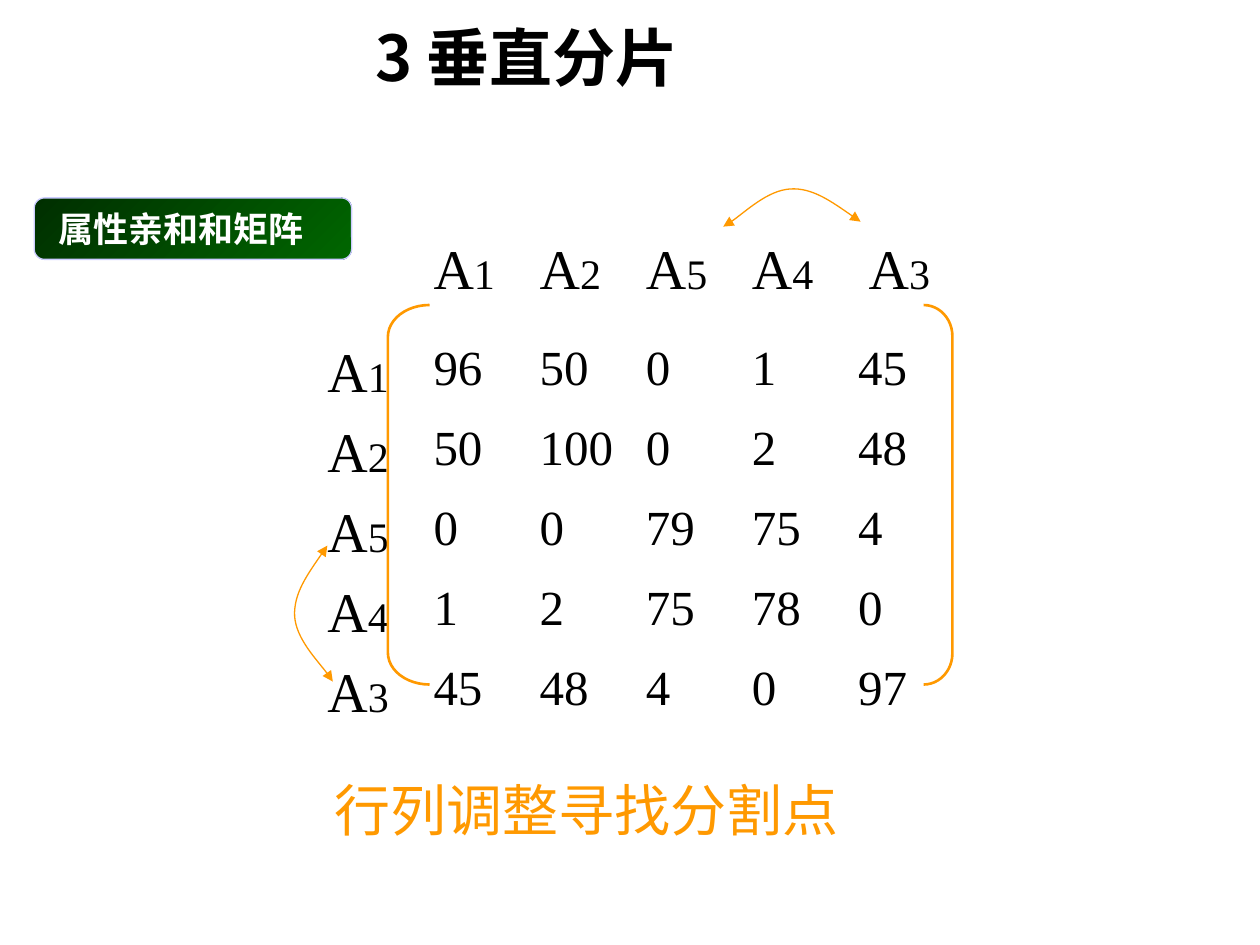
from typing import NamedTuple

from lxml.etree import SubElement
from pptx import Presentation
from pptx.dml.color import RGBColor
from pptx.enum.shapes import MSO_SHAPE as Preset
from pptx.enum.text import MSO_ANCHOR as Anchor, PP_ALIGN as Align
from pptx.oxml.ns import qn
from pptx.util import Cm, Pt

BLACK = RGBColor(0x00, 0x00, 0x00)
WHITE = RGBColor(0xFF, 0xFF, 0xFF)
ORANGE = RGBColor(0xFF, 0x99, 0x00)
DARK_GREEN = RGBColor(0x00, 0x2F, 0x00)
GREEN = RGBColor(0x00, 0x66, 0x00)
LAVENDER = RGBColor(0xCC, 0xCC, 0xFF)
SERIF = "Times New Roman"
SANS = "Noto Sans CJK SC"

MATRIX_LEFT, HEADER_TOP, ROWS_TOP = 6.35, 4.45, 6.53
COLUMN_WIDTH, HEADER_HEIGHT, ROW_HEIGHT = 2.14, 2.08, 1.61
ATTRIBUTES = "12543"
AFFINITIES = (
    (96, 50, 0, 1, 45),
    (50, 100, 0, 2, 48),
    (0, 0, 79, 75, 4),
    (1, 2, 75, 78, 0),
    (45, 48, 4, 0, 97),
)


class Box(NamedTuple):
    left: float
    top: float
    width: float
    height: float

    def lengths(self) -> list:
        return [Cm(value) for value in self]


class Bracket(NamedTuple):
    preset: Preset
    box: Box
    roundness: float


class SwapArrow(NamedTuple):
    start: tuple
    bends: tuple


BRACKETS = (
    Bracket(Preset.LEFT_BRACKET, Box(7.82, 6.15, 0.84, 7.65), 0.765),
    Bracket(Preset.RIGHT_BRACKET, Box(18.62, 6.15, 0.58, 7.65), 1.079),
)
SWAP_ARROWS = (
    SwapArrow((6.6, 11), ((6.27, 11.48), (5.92, 11.96), (5.94, 12.42),
                          (5.97, 12.88), (6.58, 13.51), (6.71, 13.74))),
    SwapArrow((17.35, 4.47), ((16.87, 4.14), (16.38, 3.78), (15.93, 3.81),
                              (15.47, 3.84), (14.83, 4.45), (14.58, 4.57))),
)


def write(shape, text: str, *, size: float, subscript: str = "", color=BLACK,
          font: str = SERIF, bold: bool = False, anchor=Anchor.MIDDLE,
          left: float = 0.25, top: float = 0.13) -> None:
    frame = shape.text_frame
    frame.word_wrap = True
    frame.vertical_anchor = anchor
    frame.margin_left, frame.margin_right = Cm(left), Cm(0.25)
    frame.margin_top, frame.margin_bottom = Cm(top), Cm(0.13)
    paragraph = frame.paragraphs[0]
    paragraph.alignment = Align.LEFT
    for part, points in ((text, size), (subscript, 24)):
        if part:
            run = paragraph.add_run()
            run.text = part
            run.font.size, run.font.bold = Pt(points), bold
            run.font.name, run.font.color.rgb = font, color
            SubElement(run.font._element, qn("a:ea"), typeface=SANS)


def add_text(shapes, box: Box, text: str, **style) -> None:
    write(shapes.add_textbox(*box.lengths()), text, **style)


def add_matrix(shapes) -> None:
    cell_style = {"anchor": Anchor.TOP, "top": 0.26}
    for column, attribute in enumerate(ATTRIBUTES, 1):
        box = Box(MATRIX_LEFT + column * COLUMN_WIDTH, HEADER_TOP, COLUMN_WIDTH, HEADER_HEIGHT)
        indent = 0.46 if column == len(ATTRIBUTES) else 0.25
        add_text(shapes, box, "A", subscript=attribute, size=32, left=indent, **cell_style)
    for row, (attribute, values) in enumerate(zip(ATTRIBUTES, AFFINITIES)):
        label = Box(MATRIX_LEFT, ROWS_TOP + row * ROW_HEIGHT, COLUMN_WIDTH, ROW_HEIGHT)
        add_text(shapes, label, "A", subscript=attribute, size=32, **cell_style)
        for column, value in enumerate(values, 1):
            cell = label._replace(left=MATRIX_LEFT + column * COLUMN_WIDTH)
            add_text(shapes, cell, str(value), size=28, **cell_style)


def add_bracket(shapes, bracket: Bracket) -> None:
    shape = shapes.add_shape(bracket.preset, *bracket.box.lengths())
    shape.adjustments[0] = bracket.roundness
    shape.shadow.inherit = False
    shape.fill.background()
    shape.line.color.rgb, shape.line.width = ORANGE, Pt(1.5)


def add_swap_arrow(shapes, arrow: SwapArrow) -> None:
    builder = shapes.build_freeform(*map(Cm, arrow.start))
    builder.add_line_segments([(Cm(x), Cm(y)) for x, y in arrow.bends], close=False)
    shape = builder.convert_to_shape()
    shape.shadow.inherit = False
    shape.fill.background()
    shape.line.color.rgb, shape.line.width = ORANGE, Pt(0.75)
    for end in ("a:headEnd", "a:tailEnd"):
        SubElement(shape.line._get_or_add_ln(), qn(end), type="triangle")
    segments = list(shape._element.iter(qn("a:lnTo")))
    outline = segments[0].getparent()
    for first in range(0, len(segments), 3):
        curve = SubElement(outline, qn("a:cubicBezTo"))
        for segment in segments[first:first + 3]:
            curve.append(segment[0])
            outline.remove(segment)


def add_topic(shapes, box: Box, text: str) -> None:
    topic = shapes.add_shape(Preset.ROUNDED_RECTANGLE, *box.lengths())
    topic.adjustments[0] = 0.167
    topic.shadow.inherit = False
    topic.fill.gradient()
    topic.fill.gradient_angle = 315
    for stop, position, color in zip(topic.fill.gradient_stops, (0, 1), (DARK_GREEN, GREEN)):
        stop.position, stop.color.rgb = position, color
    topic.line.color.rgb, topic.line.width = LAVENDER, Pt(0.75)
    write(topic, text, size=20, color=WHITE, bold=True, left=0.43)


def main() -> None:
    """Build the vertical fragmentation slide with its attribute affinity matrix."""
    deck = Presentation()
    deck.slide_width, deck.slide_height = Cm(25.4), Cm(19.05)
    shapes = deck.slides.add_slide(deck.slide_layouts[6]).shapes
    add_matrix(shapes)
    for bracket in BRACKETS:
        add_bracket(shapes, bracket)
    add_text(shapes, Box(6.5, 15.52, 11.94, 1.6), "行列调整寻找分割点", size=32, color=ORANGE)
    for arrow in SWAP_ARROWS:
        add_swap_arrow(shapes, arrow)
    add_topic(shapes, Box(0.69, 3.99, 6.4, 1.24), "属性亲和和矩阵")
    add_text(shapes, Box(7.32, 0.25, 12.7, 1.78), "3 垂直分片", size=36, font=SANS, bold=True)
    deck.save("out.pptx")


if __name__ == "__main__":
    main()
